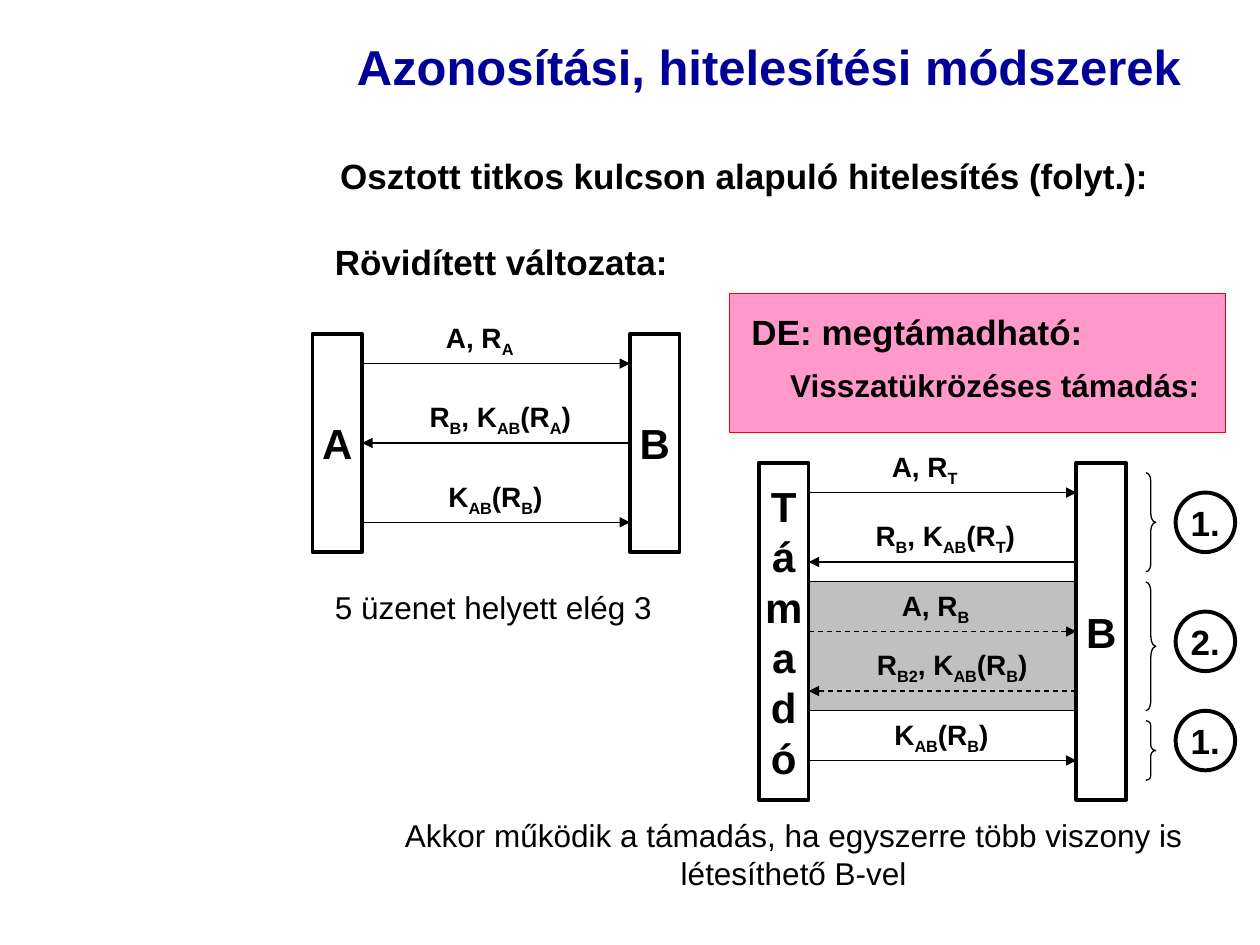
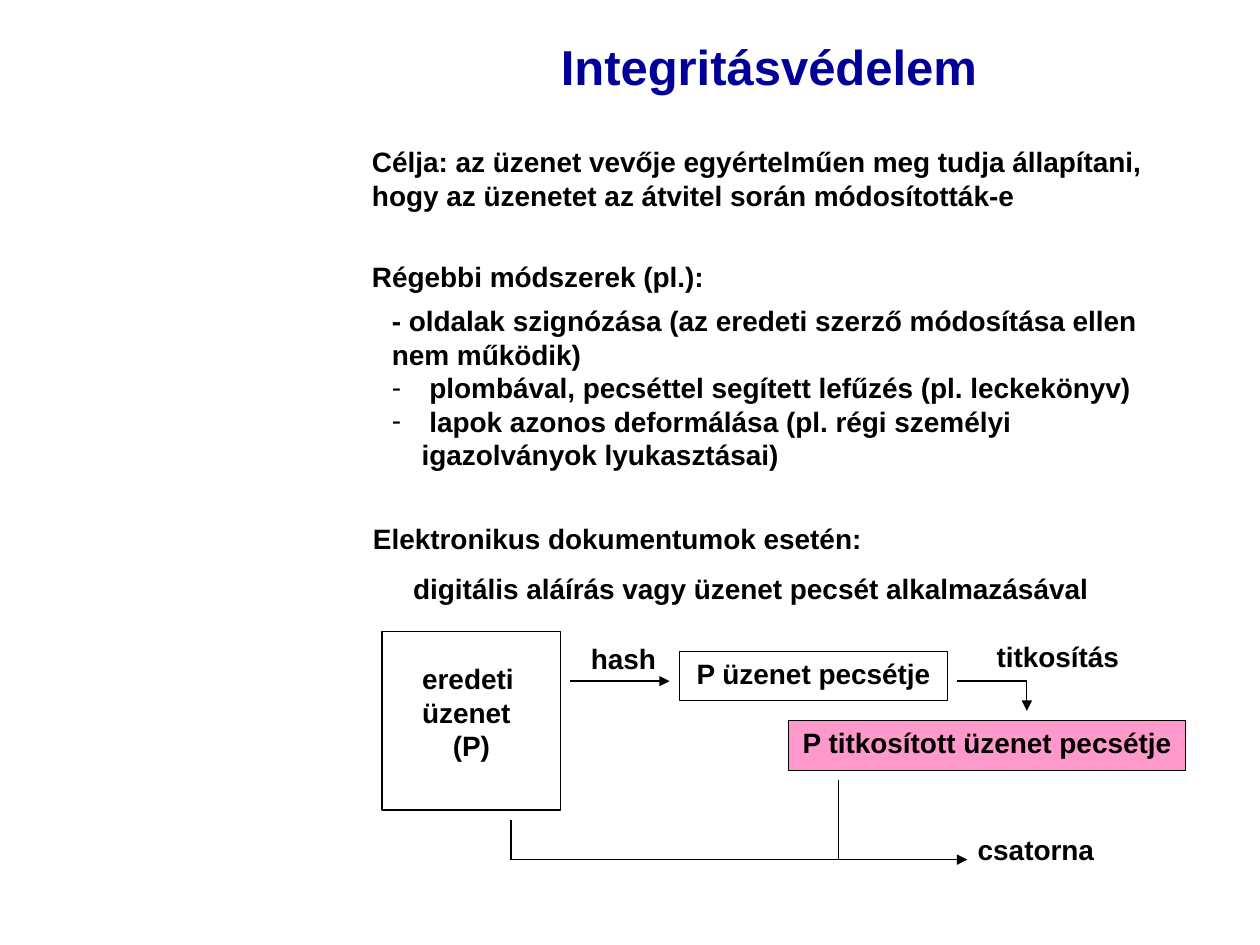
from dataclasses import dataclass

from lxml.etree import SubElement as Sub
from pptx import Presentation
from pptx.dml.color import RGBColor as Rgb
from pptx.enum.dml import MSO_LINE as Dash
from pptx.enum.shapes import MSO_CONNECTOR as Conn, MSO_SHAPE as Kind
from pptx.enum.text import MSO_ANCHOR as Anchor, MSO_AUTO_SIZE as Fit, PP_ALIGN as Align
from pptx.oxml.ns import qn
from pptx.util import Cm, Pt


@dataclass(frozen=True)
class Theme:
    font: str = "Arial"
    ink: str = "000000"
    navy: str = "000099"
    pink: str = "FF99CC"
    red: str = "FF0000"
    grey: str = "C0C0C0"
    title: int = 28
    name: int = 24
    head: int = 20
    note: int = 18
    body: int = 16
    thin: float = 0.75
    thick: float = 2.25


T = Theme()
PAD = (0.25, 0.13, 0.25, 0.13)
BARE = (0, 0, 0, 0.13)
TITLE = (6.9, 0.53, 17.2, 1.6)


# Text: a newline starts a paragraph, [..] marks a subscript
def write(shape, text, size=T.body, bold=True, color=T.ink, align=Align.LEFT,
          anchor=Anchor.TOP, pad=PAD, wrap=False):
    frame = shape.text_frame
    frame.word_wrap, frame.auto_size = wrap, Fit.NONE
    frame.vertical_anchor = anchor
    (frame.margin_left, frame.margin_top,
     frame.margin_right, frame.margin_bottom) = map(Cm, pad)
    frame.text = text.replace("[", "").replace("]", "")
    for par, line in zip(frame.paragraphs, text.split("\n")):
        par.clear()
        par.alignment = align
        par.space_before = Pt(0)
        for i, part in enumerate(line.replace("]", "[").split("[")):
            if not part:
                continue
            run = par.add_run()
            run.text = part
            font = run.font
            font.name, font.size, font.bold = T.font, Pt(size), bold
            font.color.rgb = Rgb.from_string(color)
            if i % 2:
                font._element.set("baseline", "-25000")
    return frame.paragraphs


def indent(par, left, first=0, mark=None):
    props = par._p.get_or_add_pPr()
    props.set("marL", str(Cm(left)))
    props.set("indent", str(Cm(first)))
    if mark:
        Sub(props, qn("a:buChar"), char=mark)
    else:
        Sub(props, qn("a:buNone"))


def place(shape, box):
    shape.left, shape.top, shape.width, shape.height = map(Cm, box)
    return shape


def label(slide, box, text, **fmt):
    return write(slide.shapes.add_textbox(*map(Cm, box)), text, **fmt)


def head(slide, text):
    write(place(slide.shapes.title, TITLE), text, size=T.title, color=T.navy,
          align=Align.CENTER, anchor=Anchor.MIDDLE, wrap=True)


# Outlined shape with optional fill and centred text
def block(slide, box, text="", kind=Kind.RECTANGLE, fill=None, line=T.ink,
          width=T.thin, **fmt):
    shape = slide.shapes.add_shape(kind, *map(Cm, box))
    shape.shadow.inherit = False
    if fill:
        shape.fill.solid()
        shape.fill.fore_color.rgb = Rgb.from_string(fill)
    else:
        shape.fill.background()
    shape.line.color.rgb = Rgb.from_string(line)
    shape.line.width = Pt(width)
    if text:
        write(shape, text, align=Align.CENTER, anchor=Anchor.MIDDLE, **fmt)
    return shape


def link(slide, start, end, tip=True, dash=False):
    wire = slide.shapes.add_connector(Conn.STRAIGHT, *map(Cm, start + end))
    wire.line.color.rgb = Rgb.from_string(T.ink)
    wire.line.width = Pt(T.thin)
    if dash:
        wire.line.dash_style = Dash.DASH
    if tip:
        Sub(wire.line._get_or_add_ln(), qn("a:tailEnd"), type="triangle")
    Sub(wire._element.spPr, qn("a:effectLst"))


# Two parties and the messages that pass between them
def swap(slide, left, top, high, names, rows):
    near, far = left + 1, left + 6.4
    for x, name in zip((left, far), names):
        block(slide, (x, top, 1, high), name, width=T.thick, size=T.name)
    for drop, text, shift, wide, back, dash in rows:
        y = top + drop
        ends = [(near, y), (far, y)]
        if back:
            ends.reverse()
        link(slide, *ends, dash=dash)
        label(slide, (left + shift, y - 1, wide, 1.04), text)


# Brace over a group of messages, with its number in a circle
def group(slide, top, high, ring, text):
    brace = block(slide, (23.1, top, 0.2, high), kind=Kind.RIGHT_BRACE)
    brace.adjustments[0] = high / 12 / 0.2
    block(slide, (23.7, ring, 1.2, 1.2), text, kind=Kind.OVAL,
          width=T.thick, size=T.head)


def login(slide):
    head(slide, "Azonosítási, hitelesítési módszerek")
    label(slide, (6.86, 3.12, 16.3, 1),
          "Osztott titkos kulcson alapuló hitelesítés (folyt.):",
          size=T.head, pad=BARE)

    # Short form
    label(slide, (6.5, 4.72, 7.2, 1.12), "Rövidített változata:", size=T.head)
    swap(slide, 6.3, 6.73, 4.4, "AB", [
        (0.6, "A, R[A]", 2.44, 1.85, False, False),
        (2.2, "R[B], K[AB](R[A])", 2.11, 3.35, True, False),
        (3.8, "K[AB](R[B])", 2.49, 2.39, False, False),
    ])
    label(slide, (6.5, 11.73, 6.88, 1.02), "5 üzenet helyett elég 3",
          size=T.note, bold=False)

    # Reflection attack
    block(slide, (14.7, 5.92, 10, 2.8), fill=T.pink, line=T.red)
    first, second = label(slide, (14.9, 6.12, 9.6, 2.26),
                          "DE: megtámadható:\nVisszatükrözéses támadás:",
                          size=T.head, wrap=True)
    indent(second, 0.78)
    second.space_before = Pt(8)
    second.runs[0].font.size = Pt(T.note)
    block(slide, (16.3, 11.73, 5.4, 2.6), fill=T.grey)
    swap(slide, 15.3, 9.33, 6.8, ("\n".join("Támadó"), "B"), [
        (0.6, "A, R[T]", 2.43, 1.83, False, False),
        (2, "R[B], K[AB](R[T])", 2.1, 3.3, True, False),
        (3.4, "A, R[B]", 2.63, 1.85, False, True),
        (4.6, "R[B2], K[AB](R[B])", 2.13, 3.53, True, True),
        (6, "K[AB](R[B])", 2.48, 2.39, False, False),
    ])
    group(slide, 9.53, 2, 9.93, "1.")
    group(slide, 11.73, 2.6, 12.33, "2.")
    group(slide, 14.53, 1.2, 14.33, "1.")
    label(slide, (7.5, 16.33, 17, 1.78),
          "Akkor működik a támadás, ha egyszerre több viszony is létesíthető B-vel",
          size=T.note, bold=False, align=Align.CENTER, wrap=True)


def guard(slide):
    head(slide, "Integritásvédelem")
    label(slide, (7.5, 2.92, 16.2, 1.47),
          "Célja: az üzenet vevője egyértelműen meg tudja állapítani, "
          "hogy az üzenetet az átvitel során módosították-e", pad=BARE, wrap=True)

    # Older methods
    label(slide, (7.5, 5.23, 13.4, 0.8), "Régebbi módszerek (pl.):",
          pad=BARE, wrap=True)
    lead, *rest = write(
        place(slide.placeholders[1], (7.9, 6.12, 15.8, 4.88)),
        "- oldalak szignózása (az eredeti szerző módosítása ellen nem működik)\n"
        " plombával, pecséttel segített lefűzés (pl. leckekönyv)\n"
        " lapok azonos deformálása (pl. régi személyi igazolványok lyukasztásai)",
        pad=BARE, wrap=True)
    indent(lead, 0)
    for par in rest:
        indent(par, 0.6, -0.6, "-")

    # Electronic documents
    for box, text in [
        ((7.52, 10.52, 9.86, 0.8), "Elektronikus dokumentumok esetén:"),
        ((8.33, 11.53, 13.6, 0.8),
         "digitális aláírás vagy üzenet pecsét alkalmazásával"),
        ((11.91, 12.93, 1.32, 0.8), "hash"),
        ((20.09, 12.9, 2.46, 0.8), "titkosítás"),
        ((19.71, 16.79, 2.34, 0.8), "csatorna"),
    ]:
        label(slide, box, text, pad=BARE)

    # Message and seals
    block(slide, (7.7, 12.73, 3.6, 3.6))
    pars = label(slide, (8.51, 13.34, 1.85, 2.16), "eredeti\nüzenet\n(P)", pad=BARE)
    indent(pars[-1], 0.62)
    block(slide, (13.7, 13.13, 5.4, 1), "P üzenet pecsétje", pad=BARE)
    block(slide, (15.9, 14.53, 8, 1), "P titkosított üzenet pecsétje",
          fill=T.pink, pad=BARE)

    # Flow to the channel
    link(slide, (11.5, 13.73), (13.5, 13.73))
    link(slide, (19.3, 13.73), (20.7, 13.73), tip=False)
    link(slide, (20.7, 13.73), (20.7, 14.33))
    link(slide, (10.3, 17.33), (19.5, 17.33))
    link(slide, (10.3, 17.33), (10.3, 16.53), tip=False)
    link(slide, (16.9, 17.33), (16.9, 15.73), tip=False)


def main():
    deck = Presentation()
    deck.slide_width, deck.slide_height = Cm(25.4), Cm(19.05)
    for layout, draw in ((5, login), (1, guard)):
        draw(deck.slides.add_slide(deck.slide_layouts[layout]))
    deck.save("out.pptx")


if __name__ == "__main__":
    main()
